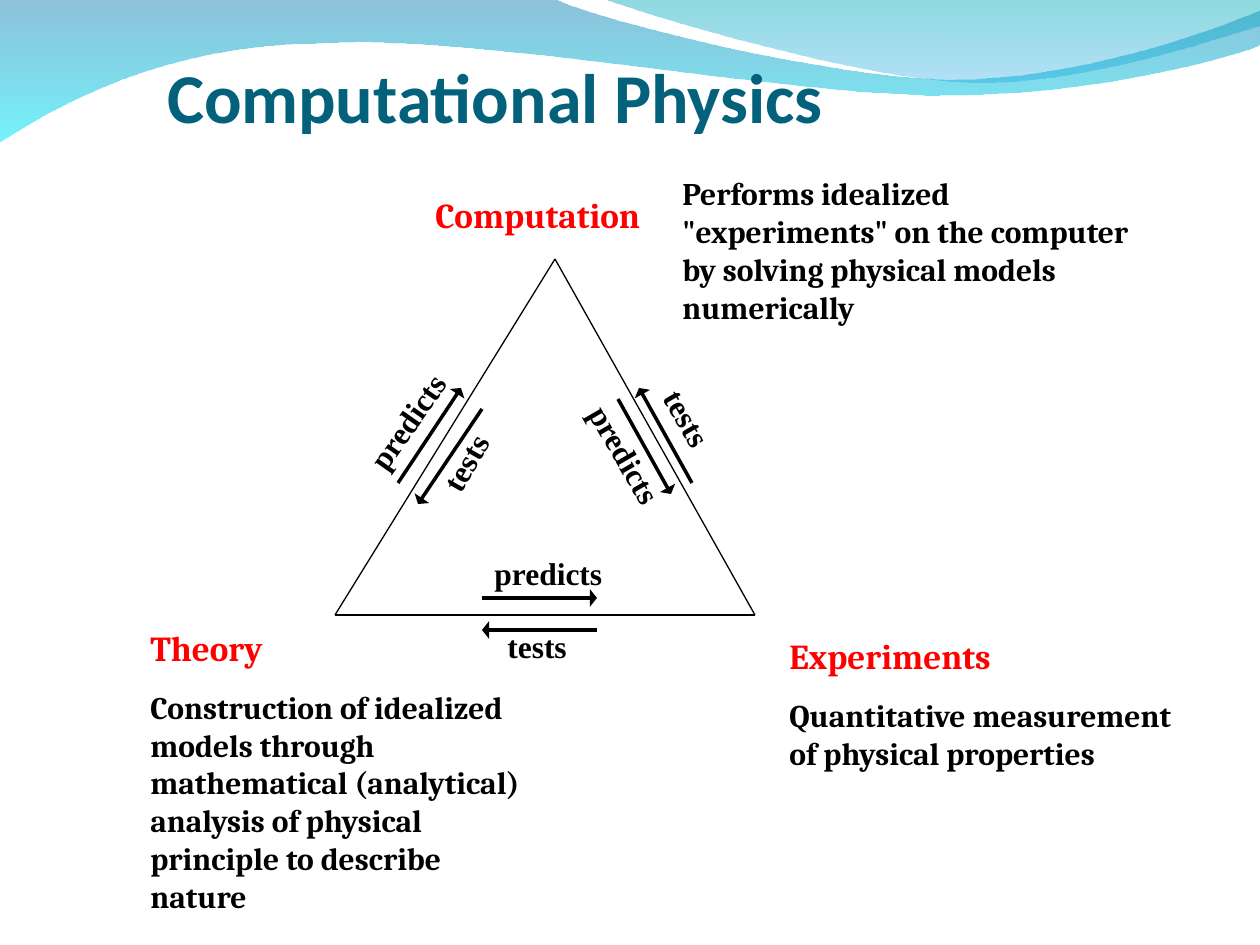
"""Build a slide relating computation, theory and experiments in a triangle."""
from itertools import chain

from lxml import etree
from pptx import Presentation, util as u
from pptx.dml.color import RGBColor
from pptx.enum import shapes, text
from pptx.oxml.ns import qn

PX = 914400 / 126
COLORS = {
    "title": "04617B", "heading": "FF0000", "ink": "000000",
    "deep": "0079AF", "cyan": "00EBF8", "teal": "00ADB6", "sky": "009BE5",
}
LOWER_WAVE = [
    [(0, -1)],
    [(554, -1)],
    [(600, 21), (837, 79), (955, 79)],
    [(1075, 79), (1207, 33), (1260, 11)],
    [(1261, 45)],
    [(1239, 55), (1096, 96), (940, 95)],
    [(783, 95), (481, 35), (324, 43)],
    [(163, 44), (58, 105), (-1, 142)],
]
UPPER_WAVE = [
    [(604, -1)],
    [(641, 14), (859, 78), (969, 82)],
    [(1079, 86), (1211, 40), (1260, 26)],
    [(1260, 0)],
]
APEX, LEFT, RIGHT = (555, 259), (335, 615), (755, 615)
SIDES = [(APEX, RIGHT), (LEFT, APEX), (LEFT, RIGHT)]
ARROWS = [
    ((482, 598), (597, 598)), ((597, 630), (482, 630)),
    ((618, 399), (671, 494)), ((692, 483), (639, 388)),
    ((398, 483), (461, 388)), ((482, 409), (418, 504)),
]
LABEL_WIDTHS = {"predicts": 134, "tests": 87}
LABELS = [
    ("tests", 495, 621, 0), ("predicts", 482, 548, 0),
    ("predicts", 559, 430, 60), ("predicts", 340, 396, 305),
    ("tests", 422, 436, 300), ("tests", 645, 394, 60),
]
HEADING = (20, "Cambria", "heading")
BODY = (18, "Cambria", "ink")
LABEL = (18, "Times New Roman", "ink")
NOTES = [
    ((138, 620, 403, 301), [
        ("Theory", HEADING),
        ("Construction of idealized models through mathematical (analytical) "
         "analysis of physical principle to describe nature", BODY)]),
    ((777, 628, 408, 188), [
        ("Experiments", HEADING),
        ("Quantitative measurement of physical properties", BODY)]),
    ((423, 187, 268, 55), [("Computation", HEADING)]),
    ((670, 168, 494, 164), [
        ('Performs idealized "experiments" on the computer by solving '
         "physical models numerically", BODY)]),
]


def px(value):
    return u.Emu(round(value * PX))


def rgb(name):
    return RGBColor.from_string(COLORS[name])


def bend_segments(shape, segments):
    lines = iter(shape._element.findall(".//" + qn("a:lnTo")))
    for segment in segments:
        group = [next(lines) for _ in segment]
        if len(group) == 3:
            curve = etree.Element(qn("a:cubicBezTo"))
            group[0].addprevious(curve)
            for line in group:
                curve.append(line[0])
                line.getparent().remove(line)


def add_wave(slide, segments, stops):
    vertices = [(px(x), px(y)) for x, y in chain.from_iterable(segments)]
    builder = slide.shapes.build_freeform(*vertices[0])
    builder.add_line_segments(vertices[1:], close=True)
    shape = builder.convert_to_shape()
    bend_segments(shape, segments[1:])
    shape.shadow.inherit = False
    shape.line.fill.background()
    shape.fill.gradient()
    shape.fill.gradient_angle = 270
    for position, (stop, (color, opacity)) in enumerate(zip(shape.fill.gradient_stops, stops)):
        stop.position = position
        stop.color.rgb = rgb(color)
    for element, (_, opacity) in zip(shape._element.spPr.iter(qn("a:srgbClr")), stops):
        etree.SubElement(element, qn("a:alpha"), val=str(opacity * 1000))


def add_line(slide, start, end, width, arrow=False):
    line = slide.shapes.add_connector(
        shapes.MSO_CONNECTOR.STRAIGHT, *map(px, start + end))
    line.line.color.rgb = rgb("ink")
    line.line.width = u.Pt(width)
    if arrow:
        etree.SubElement(line.line._get_or_add_ln(), qn("a:tailEnd"),
                         type="triangle", w="lg", len="sm")
    etree.SubElement(line._element.spPr, qn("a:effectLst"))


def add_text(slide, box, paragraphs, wrap=True):
    shape = slide.shapes.add_textbox(*map(px, box))
    frame = shape.text_frame
    frame.word_wrap = wrap
    frame.auto_size = text.MSO_AUTO_SIZE.SHAPE_TO_FIT_TEXT
    for index, (content, (size, font, color)) in enumerate(paragraphs):
        paragraph = frame.add_paragraph() if index else frame.paragraphs[0]
        paragraph.text = content
        if index:
            paragraph.space_before = u.Pt(11.25)
        paragraph.font.size = u.Pt(size)
        paragraph.font.name = font
        paragraph.font.bold = True
        paragraph.font.color.rgb = rgb(color)
    return shape


def add_title(slide):
    shape = add_text(slide, (167, 40, 849, 98),
                     [("Computational Physics", (40, "Calibri", "title"))])
    frame = shape.text_frame
    frame.auto_size = text.MSO_AUTO_SIZE.NONE
    frame.vertical_anchor = text.MSO_ANCHOR.BOTTOM
    frame.margin_left = frame.margin_right = frame.margin_bottom = 0


def main():
    presentation = Presentation()
    presentation.slide_width, presentation.slide_height = px(1260), px(945)
    slide = presentation.slides.add_slide(presentation.slide_layouts[6])
    add_wave(slide, LOWER_WAVE, [("deep", 45), ("cyan", 55)])
    add_wave(slide, UPPER_WAVE, [("teal", 45), ("sky", 30)])
    add_title(slide)
    for start, end in SIDES:
        add_line(slide, start, end, 0.75)
    for box, paragraphs in NOTES:
        add_text(slide, box, paragraphs)
    for content, left, top, angle in LABELS:
        box = (left, top, LABEL_WIDTHS[content], 50)
        add_text(slide, box, [(content, LABEL)], wrap=False).rotation = angle
    for start, end in ARROWS:
        add_line(slide, start, end, 2, arrow=True)
    presentation.save("out.pptx")


if __name__ == "__main__":
    main()
